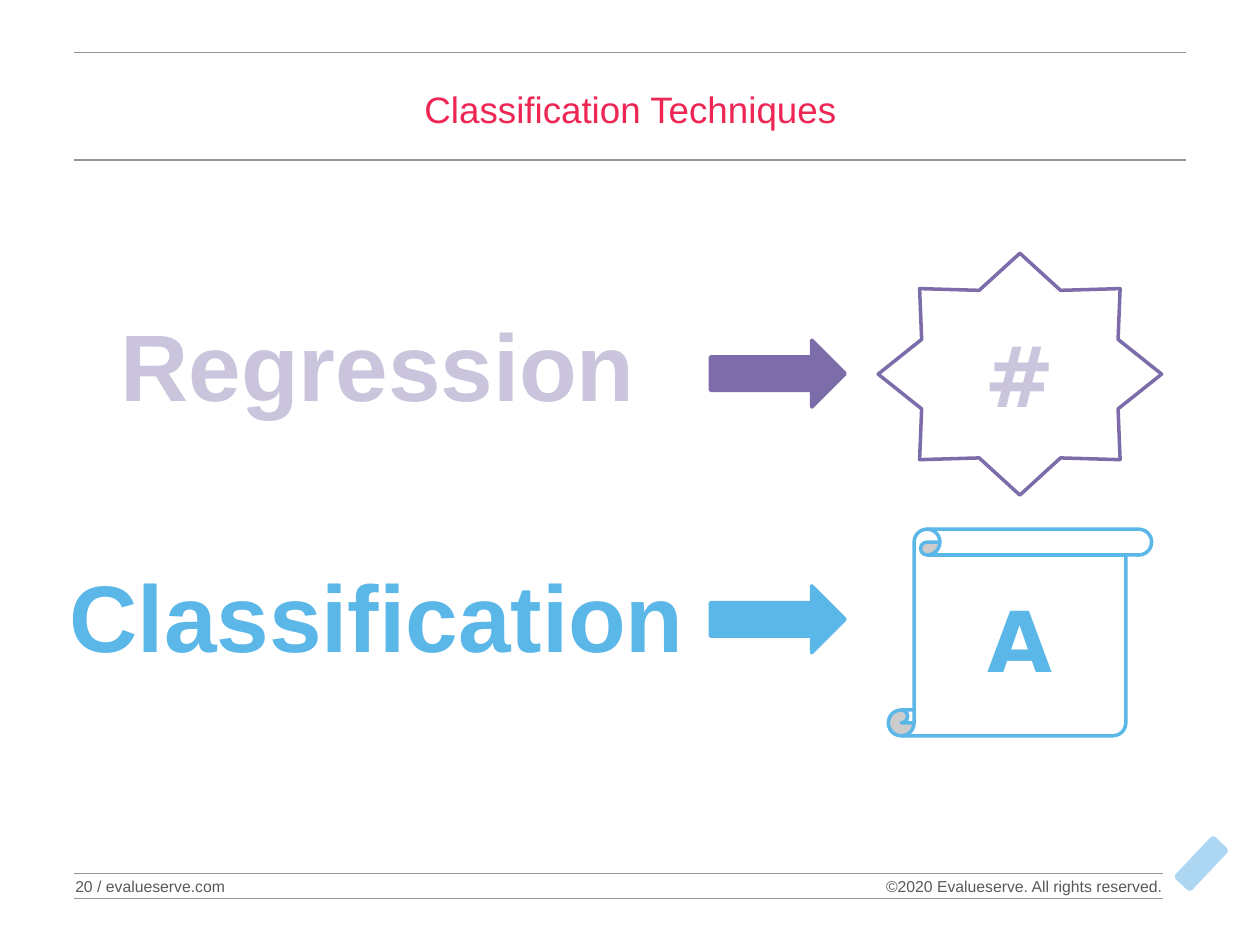
from pptx import Presentation
from pptx.util import Pt
from pptx.dml.color import RGBColor
from pptx.enum.shapes import MSO_SHAPE as Geo, MSO_CONNECTOR as Conn
from pptx.enum.text import PP_ALIGN as Align, MSO_ANCHOR as Anchor, MSO_AUTO_SIZE as Auto
from pptx.oxml import parse_xml
from pptx.oxml.ns import qn
from lxml.etree import SubElement

NS = 'xmlns:a="http://schemas.openxmlformats.org/drawingml/2006/main"'
EDGE = (f'<a:ln {NS} w="22225"><a:solidFill><a:srgbClr val="7C6CAA"/>'
        '</a:solidFill></a:ln>')


def paint(part, tone):
    """Give a fill, or a line's or font's fill, a solid hex colour."""
    part.solid()
    part.fore_color.rgb = RGBColor.from_string(tone)


def write(shape, text, size, tone, align=Align.LEFT, anchor=Anchor.TOP,
          pad=(0, 0), face="Arial", bold=False):
    """Add one run; pad is side and top inset, bold text gets an outline."""
    frame = shape.text_frame
    frame.word_wrap = True
    frame.vertical_anchor = anchor
    frame.margin_left = frame.margin_right = Pt(pad[0])
    frame.margin_top = frame.margin_bottom = Pt(pad[1])
    para = frame.paragraphs[0]
    para.alignment = align
    run = para.add_run()
    run.text = text
    font = run.font
    font.name, font.size, font.bold = face, Pt(size), bold
    paint(font.fill, tone)
    if bold:
        font.fill._xPr.insert(0, parse_xml(EDGE))
    return frame


deck = Presentation()
deck.slide_width, deck.slide_height = Pt(720), Pt(540)
slide = deck.slides.add_slide(deck.slide_layouts[6])
shapes = slide.shapes

# Header and footer rules
for y, right in ((30, 678), (91.5, 678), (499, 664.5), (513.5, 664.5)):
    rule = shapes.add_connector(Conn.STRAIGHT, Pt(42.5), Pt(y), Pt(right), Pt(y))
    paint(rule.line.fill, "939598")
    rule.line.width = Pt(0.75)
    SubElement(rule._element.spPr, qn("a:effectLst"))

# Plain mark in the corner
mark = shapes.add_shape(Geo.ROUNDED_RECTANGLE, Pt(680), Pt(477), Pt(13), Pt(33))
mark.rotation = 43.3
mark.shadow.inherit = False
paint(mark.fill, "ADD6F2")
mark.line.fill.background()

# Title and footer
title = shapes.add_textbox(Pt(42.5), Pt(46.8), Pt(635.5), Pt(56))
write(title, "Classification Techniques", 21, "EE2653", Align.CENTER, pad=(0, 3))
foot = shapes.add_textbox(Pt(43), Pt(499), Pt(106), Pt(14.4))
write(foot, "20 / evalueserve.com", 9, "595959", anchor=Anchor.MIDDLE)
legal = shapes.add_textbox(Pt(435.6), Pt(499.7), Pt(228.4), Pt(13))
write(legal, "©2020 Evalueserve. All rights reserved.", 9, "595959",
      Align.RIGHT, Anchor.MIDDLE)

# One row per technique: word, arrow, kind of result
rows = (
    ("Regression ", (59.8, 172, 327), "CBC4DD", "7C6CAA", 194.4,
     Geo.STAR_8_POINT, (501.8, 144.7, 162, 138.2), "#"),
    ("Classification ", (31, 315.4, 383.8), "5AB7E8", "5AB7E8", 334.8,
     Geo.VERTICAL_SCROLL, (507.6, 302.4, 150.5, 118.1), "A"),
)
for word, (x, y, wide), ink, tone, top, kind, box, sign in rows:
    label = shapes.add_textbox(Pt(x), Pt(y), Pt(wide), Pt(72.7))
    frame = write(label, word, 54, ink, Align.CENTER, pad=(7.2, 3.6), bold=True)
    frame.word_wrap = False
    frame.auto_size = Auto.SHAPE_TO_FIT_TEXT

    arrow = shapes.add_shape(Geo.RIGHT_ARROW, Pt(406), Pt(top), Pt(77), Pt(38.2))
    badge = shapes.add_shape(kind, *map(Pt, box))
    for shape, fill in ((arrow, tone), (badge, "FFFFFF")):
        shape.shadow.inherit = False
        paint(shape.fill, fill)
        paint(shape.line.fill, tone)
        shape.line.width = Pt(2)
        SubElement(shape.line._get_or_add_ln(), qn("a:round"))
    write(badge, sign, 48, ink, Align.CENTER, Anchor.MIDDLE, (8.6, 8.6),
          "DejaVu Sans", True)

deck.save("out.pptx")
